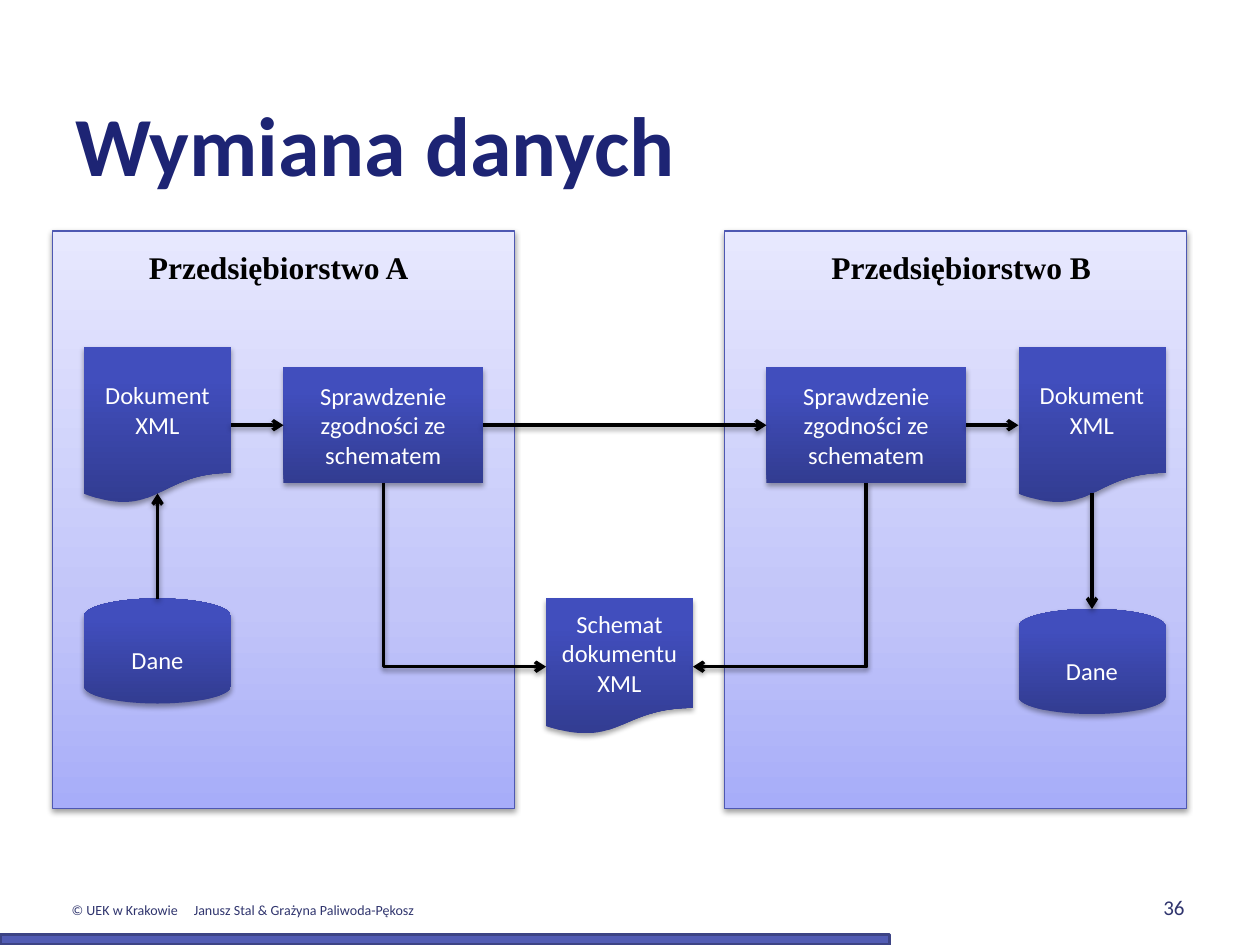
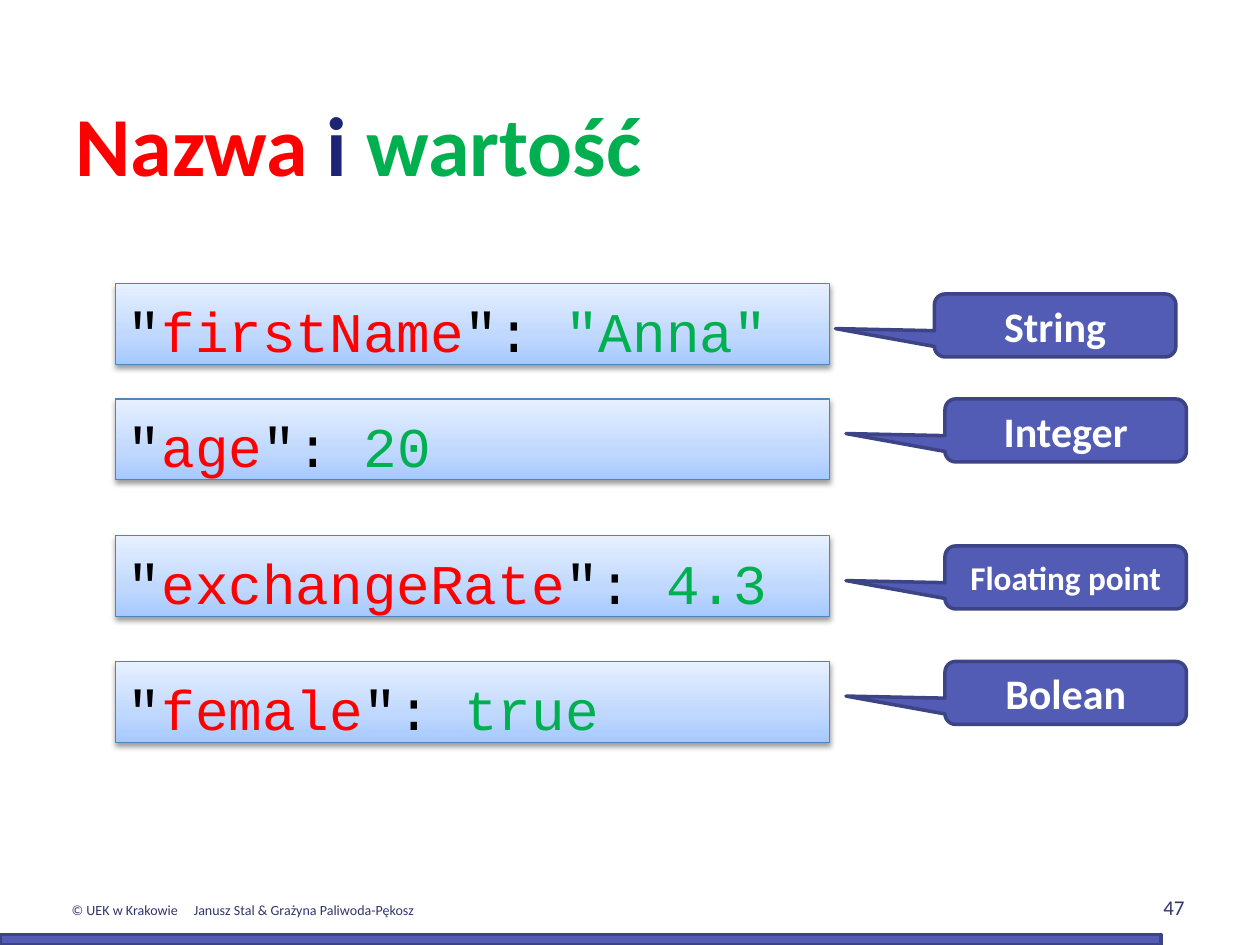
from lxml import etree
from pptx import Presentation
from pptx.dml.color import RGBColor
from pptx.enum import shapes, text
from pptx.oxml.ns import qn
from pptx.util import Inches, Pt

# ---- Theme: colours, type sizes, effects ----
THEME = {
    "fonts": {"body": "Calibri", "code": "Courier New", "label": "Times New Roman"},
    "sizes": {"title": 48, "code": 32, "type": 24, "type_long": 19, "label": 18,
              "node": 14, "number": 12, "footer": 8},
    "colours": {"title": "1D2474", "footer": "30356E", "name": "FF0000",
                "value": "00B050", "ink": "000000", "paper": "FFFFFF",
                "accent": "525CB4", "accent_edge": "3D4485",
                "panel_edge": "4E58B2", "code_edge": "5085BA"},
    "gradients": {
        "panel": [(0, "A7ADF9"), (35, "C2C5F9"), (100, "E7E8FE")],
        "node": [(0, "323C91"), (80, "414EBD"), (100, "3F4CC0")],
        "code": [(0, "A5C9FF"), (35, "C0D8FE"), (100, "E6F0FF")],
    },
    # opacity %, blur pt, distance pt
    "shadows": {"soft": (38, 3.1, 1.6), "node": (35, 3.1, 1.8)},
}
CELL = 1 / 12                    # grid: 120 columns by 90 rows
COLUMNS, ROWS = 120, 90
TOTAL_PAGES = 51
KINDS = shapes.MSO_SHAPE
CENTRE, RIGHT = text.PP_ALIGN.CENTER, text.PP_ALIGN.RIGHT
MIDDLE, BOTTOM = text.MSO_ANCHOR.MIDDLE, text.MSO_ANCHOR.BOTTOM

# ---- Content ----
FOOTER = "© UEK w Krakowie\tJanusz Stal & Grażyna Paliwoda-Pękosz"
EXCHANGE = {"number": 36, "title": [("Wymiana danych", "title")]}
TYPES = {"number": 47, "title": [("Nazwa", "name"), (" i ", "title"), ("wartość", "value")]}

PANELS = [(5, 13, "Przedsiębiorstwo A"), (69, 78, "Przedsiębiorstwo B")]
NODES = {                        # kind, wording, column, row, columns, rows
    "document A": (KINDS.FLOWCHART_DOCUMENT, "Dokument XML", 8, 33, 14, 15),
    "data A": (KINDS.FLOWCHART_MAGNETIC_DISK, "Dane", 8, 57, 14, 10),
    "document B": (KINDS.FLOWCHART_DOCUMENT, "Dokument XML", 97, 33, 14, 15),
    "data B": (KINDS.FLOWCHART_MAGNETIC_DISK, "Dane", 97, 58, 14, 10),
    "check A": (KINDS.FLOWCHART_PROCESS, "Sprawdzenie zgodności ze schematem", 27, 35, 19, 11),
    "schema": (KINDS.FLOWCHART_DOCUMENT, "Schemat\vdokumentu XML", 52, 57, 14, 13),
    "check B": (KINDS.FLOWCHART_PROCESS, "Sprawdzenie zgodności ze schematem", 73, 35, 19, 11),
}
ARROWS = [                       # from node and side, to node and side
    ("document A", "right", "check A", "left"),
    ("check A", "right", "check B", "left"),
    ("check B", "right", "document B", "left"),
    ("data A", "top", "document A", "bottom"),
    ("document B", "bottom", "data B", "top"),
]
ELBOWS = [("check A", "schema", "left"), ("check B", "schema", "right")]

PAIRS = [                        # name, value, row, type, type size, callout column and row
    ("firstName", '"Anna"', 27, "String", "type", 89, 28),
    ("age", "20", 38, "Integer", "type", 90, 38),
    ("exchangeRate", "4.3", 51, "Floating point", "type_long", 90, 52),
    ("female", "true", 63, "Bolean", "type", 90, 63),
]


# ---- Drawing helpers ----
def cells(*counts):
    return [Inches(count * CELL) for count in counts]


def colour(name):
    return RGBColor.from_string(THEME["colours"][name])


def assign(target, values):
    for name, value in values.items():
        setattr(target, name, value)


def write(shape, spans, size, font="body", bold=False, align=None, tab=None, **frame):
    """Fill a shape with one paragraph of (wording, colour) spans."""
    assign(shape.text_frame, {"word_wrap": True, **frame})
    para = shape.text_frame.paragraphs[0]
    para.alignment = align or text.PP_ALIGN.LEFT
    if tab:
        stops = etree.SubElement(para._p.get_or_add_pPr(), qn("a:tabLst"))
        etree.SubElement(stops, qn("a:tab"), pos=str(Inches(tab)), algn="l")
    for wording, ink in spans:
        for index, line in enumerate(wording.split("\v")):
            if index:
                para.add_line_break()
            span = para.add_run()
            span.text = line
            assign(span.font, {"name": THEME["fonts"][font], "bold": bold,
                               "size": Pt(THEME["sizes"][size])})
            span.font.color.rgb = colour(ink)


def cast_shadow(effects, style):
    opacity, blur, distance = THEME["shadows"][style]
    shadow = etree.SubElement(effects, qn("a:outerShdw"), blurRad=str(Pt(blur)),
                              dist=str(Pt(distance)), dir="5400000", rotWithShape="0")
    ink = etree.SubElement(shadow, qn("a:srgbClr"), val=THEME["colours"]["ink"])
    etree.SubElement(ink, qn("a:alpha"), val=str(opacity * 1000))


def add_box(page, kind, place, gradient=None, edge=None, width=0.75, shadow=None):
    box = page.shapes.add_shape(kind, *cells(*place))
    if gradient:
        box.fill.gradient()
        box.fill.gradient_angle = 90
        stops = box.element.spPr.find(qn("a:gradFill")).find(qn("a:gsLst"))
        for stop in list(stops):
            stops.remove(stop)
        for share, value in THEME["gradients"][gradient]:
            stop = etree.SubElement(stops, qn("a:gs"), pos=str(share * 1000))
            etree.SubElement(stop, qn("a:srgbClr"), val=value)
    else:
        box.fill.solid()
        box.fill.fore_color.rgb = colour("accent")
    if edge:
        box.line.color.rgb = colour(edge)
        box.line.width = Pt(width)
    else:
        box.line.fill.background()
    box.shadow.inherit = False
    if shadow:
        cast_shadow(box.element.spPr.find(qn("a:effectLst")), shadow)
    return box


def add_text(page, place, spans, size, **style):
    write(page.shapes.add_textbox(*cells(*place)), spans, size, **style)


def add_arrow(page, kind, start, end):
    arrow = page.shapes.add_connector(kind, *cells(*start, *end))
    arrow.line.color.rgb = colour("ink")
    arrow.line.width = Pt(2)
    etree.SubElement(arrow.line._get_or_add_ln(), qn("a:tailEnd"), type="arrow")
    cast_shadow(etree.SubElement(arrow.element.spPr, qn("a:effectLst")), "soft")
    return arrow


def add_elbow(page, start, end):
    """Go down from start, then sideways to end: a turned one-bend connector."""
    (x1, y1), (x2, y2) = start, end
    middle_x, middle_y = (x1 + x2) / 2, (y1 + y2) / 2
    half_w, half_h = (y2 - y1) / 2, abs(x2 - x1) / 2
    flip = -1 if x2 > x1 else 1
    arrow = add_arrow(page, shapes.MSO_CONNECTOR.ELBOW,
                      (middle_x - flip * half_w, middle_y - half_h),
                      (middle_x + flip * half_w, middle_y + half_h))
    properties = arrow.element.spPr
    properties.find(qn("a:prstGeom")).set("prst", "bentConnector2")
    properties.find(qn("a:xfrm")).set("rot", str((270 if flip < 0 else 90) * 60000))


def side_point(node, side):
    kind, _, left, top, width, height = NODES[node]
    wave = 1 if kind == KINDS.FLOWCHART_DOCUMENT else 0
    return {"left": (left, top + height / 2),
            "right": (left + width, top + height / 2),
            "top": (left + width / 2, top),
            "bottom": (left + width / 2, top + height - wave)}[side]


# ---- Shared frame: title, footer, page number, progress bar ----
def add_page(deck, content):
    page = deck.slides.add_slide(deck.slide_layouts[6])
    number = content["number"]
    add_text(page, (5.64, 85.3, 37.5, 2.9), [(FOOTER, "footer")], "footer", tab=0.97)
    add_text(page, (6, 4, 108, 15), content["title"], "title", bold=True,
             vertical_anchor=BOTTOM)
    add_text(page, (86, 82, 28, 6.2), [(str(number), "footer")], "number",
             align=RIGHT, vertical_anchor=BOTTOM)
    add_box(page, KINDS.RECTANGLE, (0, ROWS - 1, COLUMNS * number / TOTAL_PAGES, 1),
            edge="accent_edge", width=2)
    return page


# ---- Slides ----
def build_exchange(deck):
    page = add_page(deck, EXCHANGE)
    for left, label_left, label in PANELS:
        add_box(page, KINDS.RECTANGLE, (left, 22, 44, 55), "panel", "panel_edge", shadow="soft")
        add_text(page, (label_left, 23, 27.3, 4.8), [(label, "ink")], "label",
                 font="label", bold=True, word_wrap=False)
    for kind, wording, *place in NODES.values():
        node = add_box(page, kind, place, "node", shadow="node")
        write(node, [(wording, "paper")], "node", align=CENTRE, vertical_anchor=MIDDLE)
    for source, source_side, target, target_side in ARROWS:
        add_arrow(page, shapes.MSO_CONNECTOR.STRAIGHT,
                  side_point(source, source_side), side_point(target, target_side))
    for source, target, side in ELBOWS:
        add_elbow(page, side_point(source, "bottom"), side_point(target, side))


def build_types(deck):
    page = add_page(deck, TYPES)
    for name, value, row, type_name, size, callout_left, callout_top in PAIRS:
        code = add_box(page, KINDS.RECTANGLE, (11, row, 68, 7.7), "code", "code_edge",
                       shadow="soft")
        write(code, [('"', "ink"), (name, "name"), ('": ', "ink"), (value, "value")],
              "code", font="code", vertical_anchor=text.MSO_ANCHOR.TOP,
              margin_top=Inches(0.1))
        callout = add_box(page, KINDS.ROUNDED_RECTANGULAR_CALLOUT,
                          (callout_left, callout_top, 23, 6), edge="accent_edge", width=2)
        for index, amount in enumerate((-0.91, 0.05, 0.17)):
            callout.adjustments[index] = amount
        write(callout, [(type_name, "paper")], size, bold=True, align=CENTRE,
              vertical_anchor=MIDDLE)


def main():
    deck = Presentation()
    deck.slide_width, deck.slide_height = cells(COLUMNS, ROWS)
    build_exchange(deck)
    build_types(deck)
    deck.save("out.pptx")


if __name__ == "__main__":
    main()
